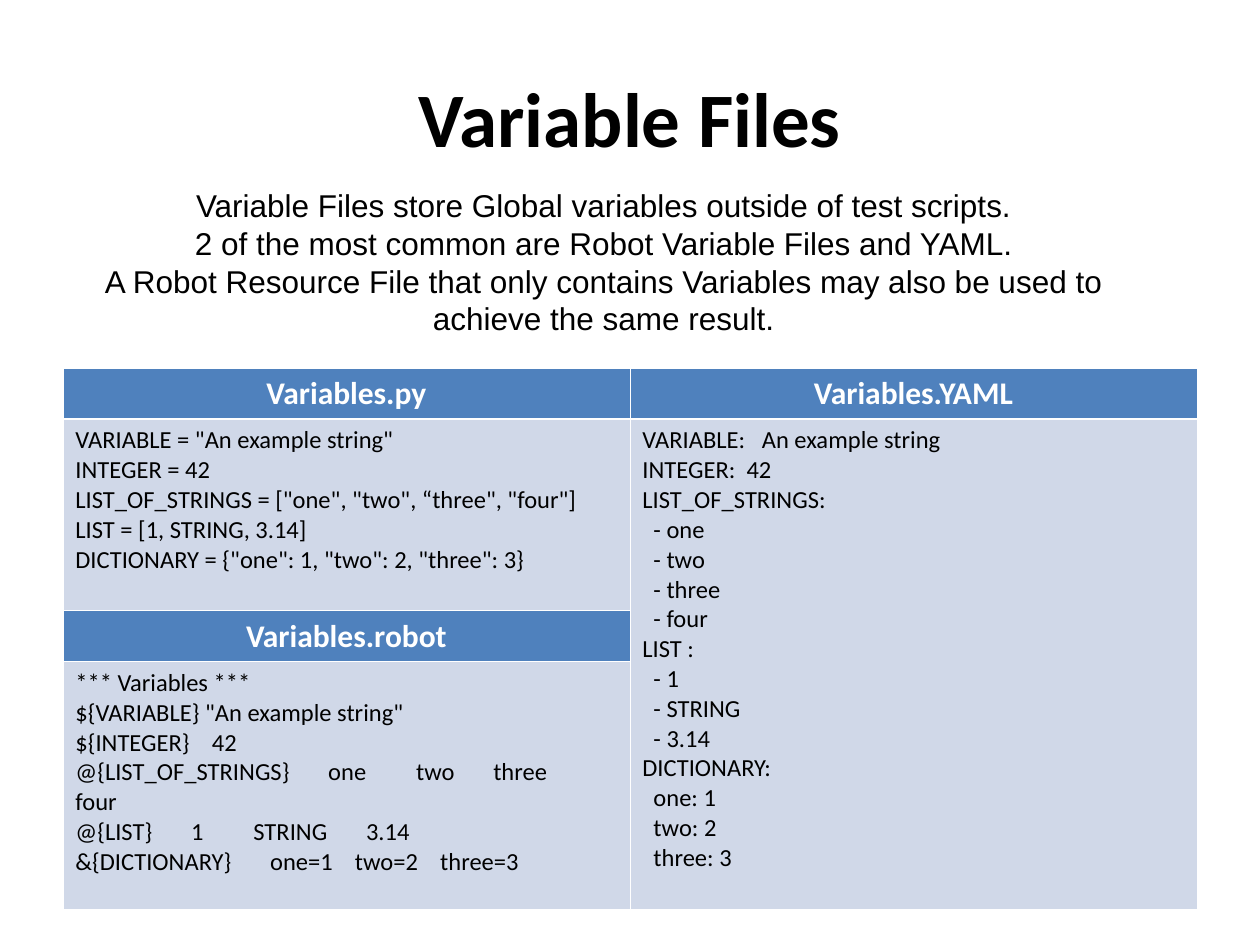
from lxml.etree import SubElement
from pptx import Presentation
from pptx.dml.color import RGBColor as Color
from pptx.enum.text import MSO_ANCHOR as Anchor, PP_ALIGN as Align
from pptx.oxml.ns import qn
from pptx.util import Cm, Pt

TITLE = ["Variable Files"]
INTRO = [
    "Variable Files store Global variables outside of test scripts.",
    "2 of the most common are Robot Variable Files and YAML.",
    "A Robot Resource File that only contains Variables may also be used to "
    "achieve the same result.",
]
PYTHON_LINES = [
    'VARIABLE = "An example string"',
    "INTEGER = 42",
    'LIST_OF_STRINGS = ["one", "two", “three", "four"]',
    "LIST = [1, STRING, 3.14]",
    'DICTIONARY = {"one": 1, "two": 2, "three": 3}',
]
YAML_LINES = [
    "VARIABLE:   An example string",
    "INTEGER:  42",
    "LIST_OF_STRINGS:",
    "  - one",
    "  - two",
    "  - three",
    "  - four",
    "LIST :",
    "  - 1",
    "  - STRING",
    "  - 3.14",
    "DICTIONARY:",
    "  one: 1",
    "  two: 2",
    "  three: 3",
]
ROBOT_LINES = [
    "*** Variables ***",
    '${VARIABLE} "An example string"',
    "${INTEGER}    42",
    "@{LIST_OF_STRINGS}       one         two       three         four",
    "@{LIST}       1         STRING       3.14",
    "&{DICTIONARY}       one=1    two=2    three=3",
]
# (row, column, kind, lines)
CELLS = [
    (0, 0, "header", ["Variables.py"]),
    (0, 1, "header", ["Variables.YAML"]),
    (1, 0, "code", PYTHON_LINES),
    (1, 1, "code", YAML_LINES),
    (2, 0, "header", ["Variables.robot"]),
    (3, 0, "code", ROBOT_LINES),
]
ROW_HEIGHTS = [1.03, 3.86, 1.03, 5.0]
COLUMN_WIDTH = 11.43
MARGINS = {"margin_left": Cm(0.25), "margin_right": Cm(0.25),
           "margin_top": Cm(0.13), "margin_bottom": Cm(0.13)}

THEME = {
    "title": {"align": Align.CENTER, "color": "000000",
              "font": {"name": "Calibri", "size": Pt(44), "bold": True}},
    "intro": {"align": Align.CENTER, "color": "000000",
              "font": {"name": "Arial", "size": Pt(18), "bold": False}},
    "header": {"align": Align.CENTER, "color": "FFFFFF", "fill": "4F81BD",
               "font": {"name": "Calibri", "size": Pt(18), "bold": True}},
    "code": {"align": Align.LEFT, "color": "000000", "fill": "D0D8E8",
             "font": {"name": "Calibri", "size": Pt(14), "bold": False}},
    "border": {"color": "FFFFFF", "thin": Pt(0.45), "thick": Pt(1.47)},
}


def write_lines(frame, lines, kind):
    style = THEME[kind]
    frame.word_wrap = True
    for index, line in enumerate(lines):
        para = frame.paragraphs[0] if index == 0 else frame.add_paragraph()
        para.alignment = style["align"]
        span = para.add_run()
        span.text = line
        span.font.color.rgb = Color.from_string(style["color"])
        for name, value in style["font"].items():
            setattr(span.font, name, value)


def add_text(page, place, lines, kind, anchor):
    box = page.shapes.add_textbox(*map(Cm, place))
    for name, value in {**MARGINS, "vertical_anchor": anchor}.items():
        setattr(box.text_frame, name, value)
    write_lines(box.text_frame, lines, kind)


def set_borders(cell, row):
    """Draw white cell edges, heavier between the first two rows."""
    border = THEME["border"]
    heavy_edge = {0: "lnB", 1: "lnT"}.get(row)
    properties = cell._tc.get_or_add_tcPr()
    for index, edge in enumerate(("lnL", "lnR", "lnT", "lnB")):
        width = border["thick" if edge == heavy_edge else "thin"]
        line = SubElement(properties, qn(f"a:{edge}"), w=str(int(width)))
        fill = SubElement(line, qn("a:solidFill"))
        SubElement(fill, qn("a:srgbClr"), val=border["color"])
        properties.insert(index, line)  # edges must precede the cell fill


def add_variable_table(page):
    frame = page.shapes.add_table(
        len(ROW_HEIGHTS), 2, Cm(1.27), Cm(7.42),
        Cm(2 * COLUMN_WIDTH), Cm(sum(ROW_HEIGHTS)))
    table = frame.table
    for column in table.columns:
        column.width = Cm(COLUMN_WIDTH)
    for row, height in zip(table.rows, ROW_HEIGHTS):
        row.height = Cm(height)
    table.cell(1, 1).merge(table.cell(3, 1))
    for row, column, kind, lines in CELLS:
        cell = table.cell(row, column)
        for name, value in MARGINS.items():
            setattr(cell, name, value)
        write_lines(cell.text_frame, lines, kind)
        cell.fill.solid()
        cell.fill.fore_color.rgb = Color.from_string(THEME[kind]["fill"])
        set_borders(cell, row)


def main():
    deck = Presentation()
    deck.slide_width, deck.slide_height = Cm(25.4), Cm(19.05)
    page = deck.slides.add_slide(deck.slide_layouts[6])
    add_text(page, (1.27, 0.76, 22.86, 3.18), TITLE, "title", Anchor.MIDDLE)
    add_variable_table(page)
    add_text(page, (1.27, 3.62, 21.8, 3.3), INTRO, "intro", Anchor.TOP)
    deck.save("out.pptx")


if __name__ == "__main__":
    main()
